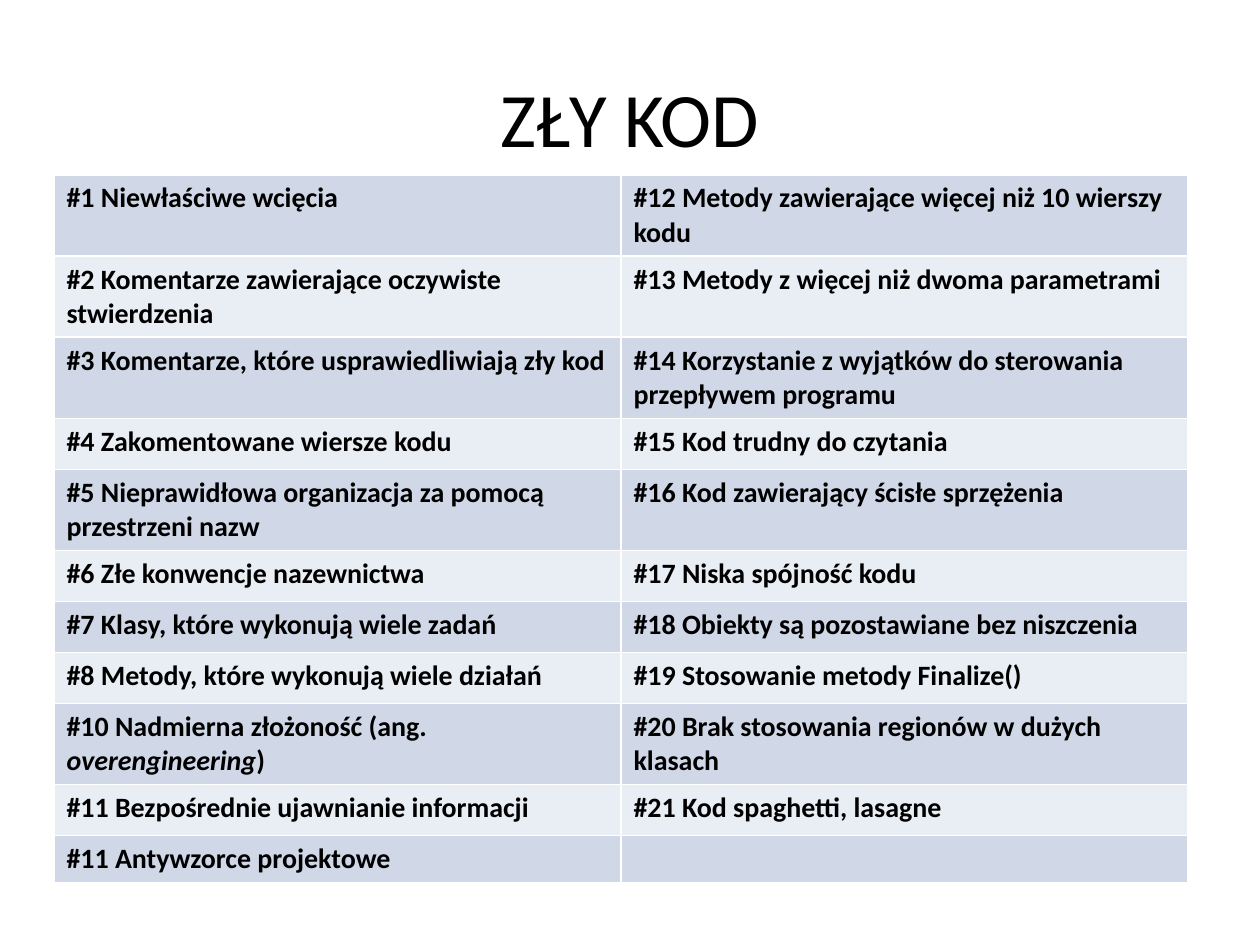
from lxml import etree
from pptx import Presentation
from pptx.dml.color import RGBColor
from pptx.enum.text import MSO_ANCHOR, PP_ALIGN
from pptx.oxml.ns import qn
from pptx.util import Emu, Pt

MIDDLE = MSO_ANCHOR.MIDDLE
CENTER = PP_ALIGN.CENTER

# Content: text between asterisks is italic
TITLE = "ZŁY KOD"
ROWS = [
    ("#1 Niewłaściwe wcięcia", "#12 Metody zawierające więcej niż 10 wierszy kodu"),
    ("#2 Komentarze zawierające oczywiste stwierdzenia",
     "#13 Metody z więcej niż dwoma parametrami"),
    ("#3 Komentarze, które usprawiedliwiają zły kod",
     "#14 Korzystanie z wyjątków do sterowania przepływem programu"),
    ("#4 Zakomentowane wiersze kodu", "#15 Kod trudny do czytania"),
    ("#5 Nieprawidłowa organizacja za pomocą przestrzeni nazw",
     "#16 Kod zawierający ścisłe sprzężenia"),
    ("#6 Złe konwencje nazewnictwa", "#17 Niska spójność kodu"),
    ("#7 Klasy, które wykonują wiele zadań", "#18 Obiekty są pozostawiane bez niszczenia"),
    ("#8 Metody, które wykonują wiele działań", "#19 Stosowanie metody Finalize()"),
    ("#10 Nadmierna złożoność (ang. *overengineering*)",
     "#20 Brak stosowania regionów w dużych klasach"),
    ("#11 Bezpośrednie ujawnianie informacji", "#21 Kod spaghetti, lasagne"),
    ("#11 Antywzorce projektowe", ""),
]

THEME = {
    "font": "Calibri", "text": "000000", "line": "FFFFFF",
    "bands": ("D0D8E8", "E9EDF4"),
    "title": 44, "cell": 16, "border": 1,
}

# Layout in px
SLIDE = (1260, 945)
HEAD = (63, 38, 1134, 158)
GRID = (54, 175, 1134, 700)
ROW, LAST = 51, 20


def px(n):
    return Emu(round(n * 914400 / 126))


def style(font, size, bold=False, italic=False):
    font.name, font.size = THEME["font"], Pt(size)
    font.bold, font.italic = bold, italic
    font.color.rgb = RGBColor.from_string(THEME["text"])


def edge(cell):
    props = cell._tc.get_or_add_tcPr()
    for side in ("a:lnL", "a:lnR", "a:lnT", "a:lnB"):
        line = etree.SubElement(props, qn(side), w=str(Pt(THEME["border"])))
        fill = etree.SubElement(line, qn("a:solidFill"))
        etree.SubElement(fill, qn("a:srgbClr"), val=THEME["line"])


def write(cell, text):
    para = cell.text_frame.paragraphs[0]
    if not text:  # keeps the empty row as low as its text needs
        end = etree.SubElement(para._p, qn("a:endParaRPr"))
        end.set("sz", str(THEME["cell"] * 100))
    for i, part in enumerate(text.split("*")):
        if part:
            run = para.add_run()
            run.text = part
            style(run.font, THEME["cell"], True, i % 2 == 1)


def main():
    deck = Presentation()
    deck.slide_width, deck.slide_height = map(px, SLIDE)
    slide = deck.slides.add_slide(deck.slide_layouts[5])

    # Title
    head = slide.shapes.title
    head.left, head.top, head.width, head.height = map(px, HEAD)
    frame = head.text_frame
    frame.text = TITLE
    frame.vertical_anchor = MIDDLE
    para = frame.paragraphs[0]
    para.alignment = CENTER
    style(para.runs[0].font, THEME["title"])

    # Table of code smells
    cols = len(ROWS[0])
    table = slide.shapes.add_table(len(ROWS), cols, *map(px, GRID)).table
    table.first_row = False
    for col in table.columns:
        col.width = px(GRID[2] // cols)
    for r, texts in enumerate(ROWS):
        table.rows[r].height = px(LAST if r == len(ROWS) - 1 else ROW)
        for c, text in enumerate(texts):
            cell = table.cell(r, c)
            edge(cell)
            cell.fill.solid()
            cell.fill.fore_color.rgb = RGBColor.from_string(THEME["bands"][r % 2])
            write(cell, text)

    deck.save("out.pptx")


if __name__ == "__main__":
    main()
